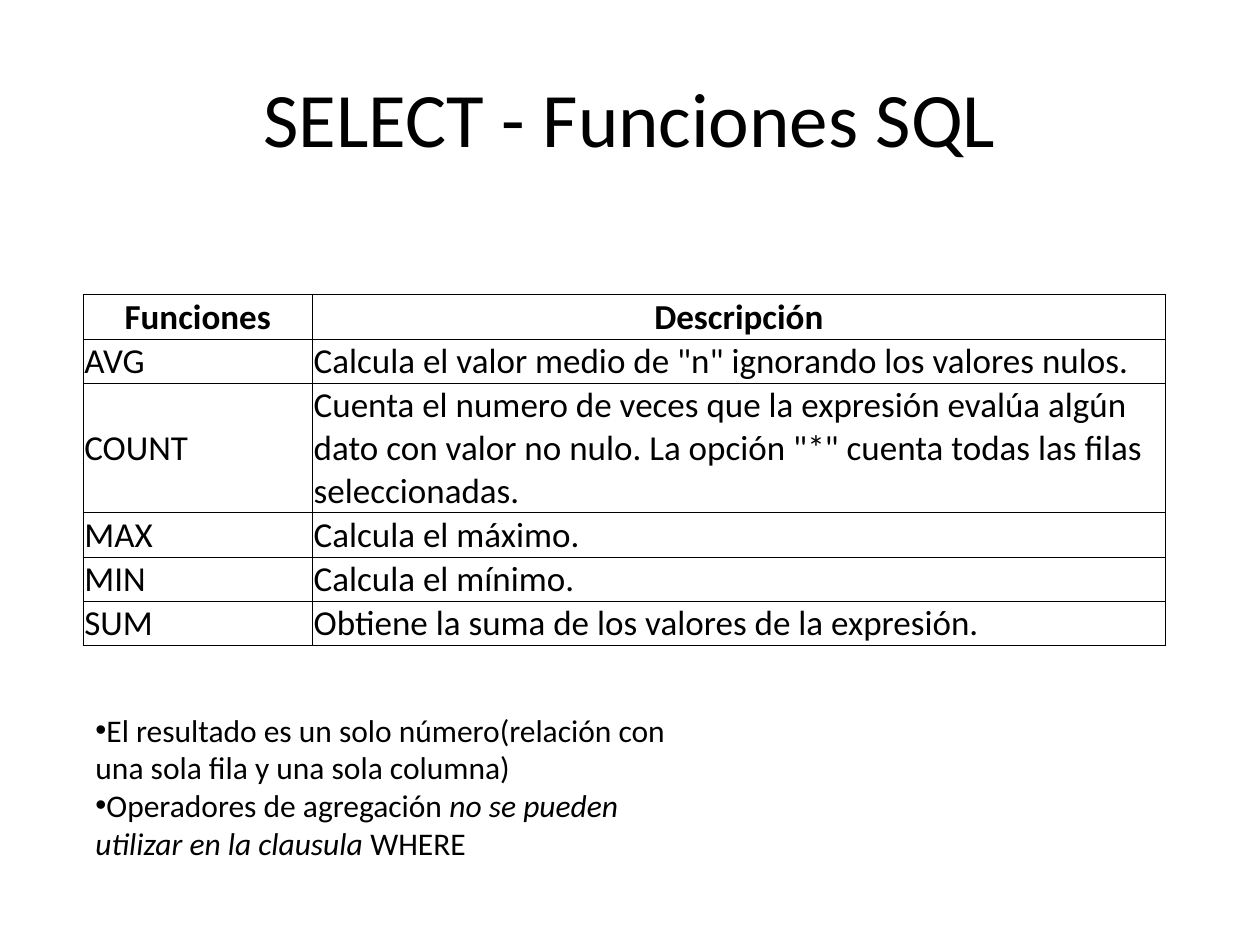
from lxml import etree
from pptx import Presentation
from pptx.dml.color import RGBColor
from pptx.enum import text
from pptx.oxml import ns
from pptx.util import Inches, Pt

BLACK = RGBColor(0, 0, 0)
WHITE = RGBColor(255, 255, 255)
FACE = "Calibri"
MID = text.MSO_ANCHOR.MIDDLE
LOW = text.MSO_ANCHOR.BOTTOM
MID_ROW = 2

ROWS = [
    ("Funciones", "Descripción"),
    ("AVG", 'Calcula el valor medio de "n" ignorando los valores nulos.'),
    ("COUNT", "Cuenta el numero de veces que la expresión evalúa algún dato "
     'con valor no nulo. La opción "*" cuenta todas las filas seleccionadas.'),
    ("MAX", "Calcula el máximo."),
    ("MIN", "Calcula el mínimo."),
    ("SUM", "Obtiene la suma de los valores de la expresión."),
]
WIDTHS = (1.82, 6.77)
HEIGHTS = (0.35, 0.35, 1.03, 0.35, 0.35, 0.35)
NOTES = [
    [("El resultado es un solo número(relación con una sola fila y una sola "
      "columna)", False)],
    [("Operadores de agregación ", False),
     ("no se pueden utilizar en la clausula ", True),
     ("WHERE", False)],
]


def style(item, **values):
    for name, value in values.items():
        setattr(item, name, value)


def add_run(para, words, size, **values):
    run = para.add_run()
    run.text = words
    style(run.font, name=FACE, size=Pt(size), **values)
    run.font.color.rgb = BLACK


def add_box(slide, *place):
    frame = slide.shapes.add_textbox(*map(Inches, place)).text_frame
    frame.word_wrap = True
    return frame


def add_title(slide, words):
    frame = add_box(slide, 0.5, 0.3, 9, 1.25)
    frame.vertical_anchor = MID
    para = frame.paragraphs[0]
    para.alignment = text.PP_ALIGN.CENTER
    add_run(para, words, 44)


def add_edges(cell):
    props = cell._tc.get_or_add_tcPr()
    for spot, side in enumerate(("lnL", "lnR", "lnT", "lnB")):
        line = etree.Element(ns.qn(f"a:{side}"), w=str(Pt(0.5)))
        fill = etree.SubElement(line, ns.qn("a:solidFill"))
        etree.SubElement(fill, ns.qn("a:srgbClr"), val=str(BLACK))
        props.insert(spot, line)


def fill_cell(cell, words, head, anchor):
    edge = Inches(0.01)
    style(cell, margin_left=edge, margin_right=edge, margin_top=edge,
          margin_bottom=0, vertical_anchor=anchor)
    cell.fill.solid()
    cell.fill.fore_color.rgb = WHITE
    add_edges(cell)
    para = cell.text_frame.paragraphs[0]
    para.alignment = text.PP_ALIGN.CENTER if head else text.PP_ALIGN.LEFT
    add_run(para, words, 20, bold=head)


def add_grid(slide):
    place = map(Inches, (0.66, 2.34, sum(WIDTHS), sum(HEIGHTS)))
    grid = slide.shapes.add_table(len(ROWS), len(WIDTHS), *place).table
    style(grid, first_row=False, horz_banding=False)
    for col, width in zip(grid.columns, WIDTHS):
        col.width = Inches(width)
    for row, height in zip(grid.rows, HEIGHTS):
        row.height = Inches(height)
    for i, row in enumerate(ROWS):
        for j, words in enumerate(row):
            anchor = MID if (i, j) == (MID_ROW, 0) else LOW
            fill_cell(grid.cell(i, j), words, i == 0, anchor)


def add_notes(slide):
    frame = add_box(slide, 0.66, 5.59, 5, 1.31)
    frame.auto_size = text.MSO_AUTO_SIZE.SHAPE_TO_FIT_TEXT
    for i, runs in enumerate(NOTES):
        para = frame.add_paragraph() if i else frame.paragraphs[0]
        props = para._p.get_or_add_pPr()
        etree.SubElement(props, ns.qn("a:buFont"), typeface="Arial")
        etree.SubElement(props, ns.qn("a:buChar"), char="•")
        for words, slant in runs:
            add_run(para, words, 18, italic=slant)


def main():
    deck = Presentation()
    style(deck, slide_width=Inches(10), slide_height=Inches(7.5))
    slide = deck.slides.add_slide(deck.slide_layouts[6])
    add_title(slide, "SELECT - Funciones SQL")
    add_grid(slide)
    add_notes(slide)
    deck.save("out.pptx")


if __name__ == "__main__":
    main()
